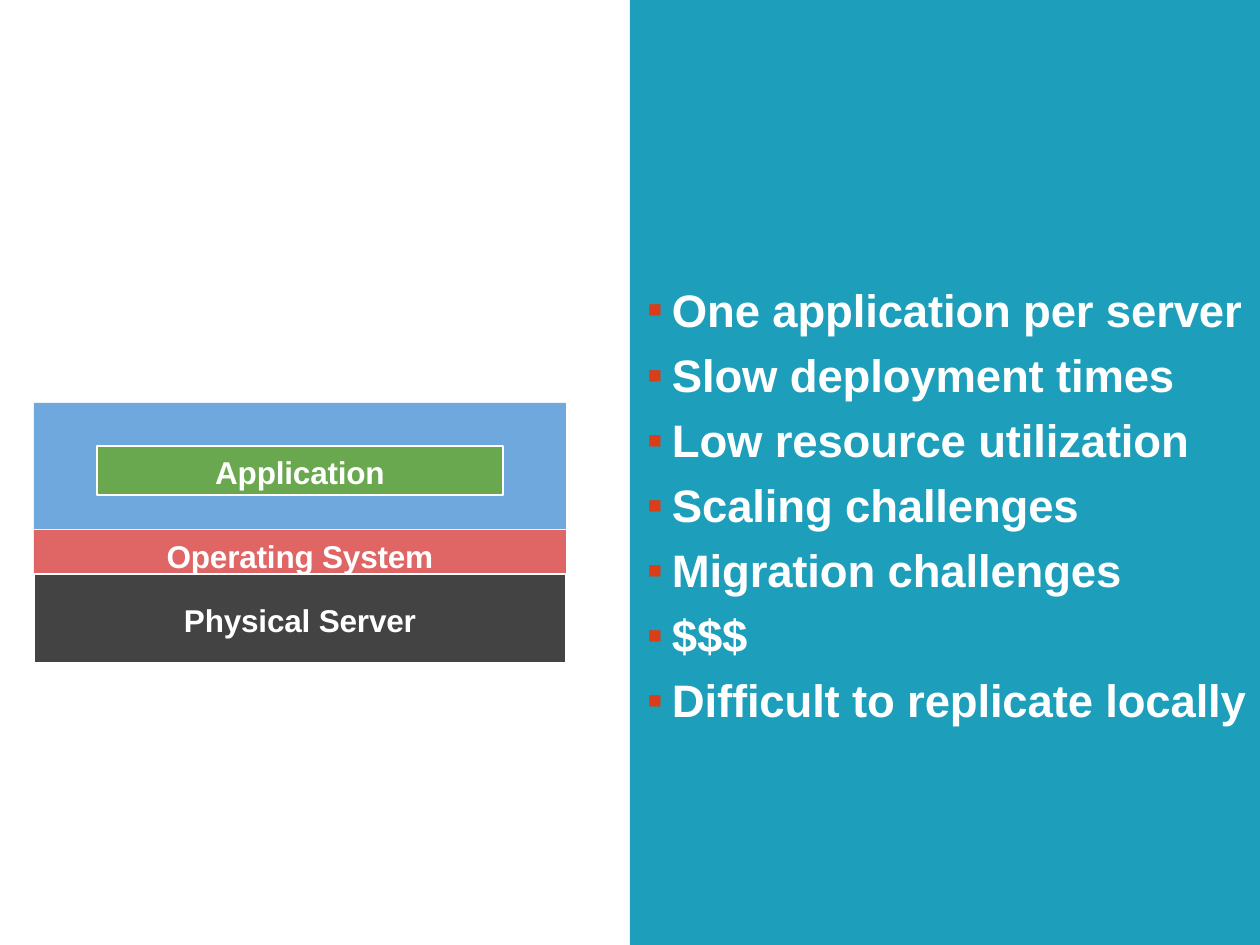
from lxml.etree import SubElement
from pptx import Presentation
from pptx.dml.color import RGBColor
from pptx.enum.shapes import MSO_SHAPE as Shape
from pptx.enum.text import MSO_ANCHOR as Anchor, MSO_AUTO_SIZE as AutoSize, PP_ALIGN as Align
from pptx.oxml.ns import qn
from pptx.util import Pt

PX = 914400 // 126
WHITE = RGBColor(0xFF, 0xFF, 0xFF)
TEAL = RGBColor(0x1D, 0x9E, 0xBA)
BLUE = RGBColor(0x6F, 0xA8, 0xDC)
RED = RGBColor(0xE0, 0x66, 0x66)
GREY = RGBColor(0x43, 0x43, 0x43)
GREEN = RGBColor(0x6A, 0xA8, 0x4F)
BULLET_COLOR = "DB3D16"

# label, (left, top, width, height), fill, outlined, top inset
BLOCKS = [
    ("", (630, 0, 630, 945), TEAL, False, 0),
    ("", (34, 403, 532, 127), BLUE, False, 0),
    ("", (34, 530, 532, 49), None, True, 0),
    ("Operating System", (34, 530, 532, 44), RED, False, 8),
    ("Physical Server", (34, 574, 532, 89), GREY, True, 2),
    ("Application", (97, 446, 406, 49), GREEN, True, 2),
]
DRAWBACKS = [
    "One application per server",
    "Slow deployment times",
    "Low resource utilization",
    "Scaling challenges",
    "Migration challenges",
    "$$$",
    "Difficult to replicate locally",
]
DRAWBACKS_BOX = (645, 268, 609, 459)


def px(*lengths):
    return [length * PX for length in lengths]


def set_insets(frame, top):
    frame.margin_left = frame.margin_right = frame.margin_bottom = 0
    frame.margin_top = top * PX


def style(paragraph, size):
    for run in paragraph.runs:
        run.font.name = "Arial"
        run.font.size = Pt(size)
        run.font.bold = True
        run.font.color.rgb = WHITE
        run._r.get_or_add_rPr().set("spc", "-10")


def add_block(slide, label, box, fill, outlined, top_inset):
    block = slide.shapes.add_shape(Shape.RECTANGLE, *px(*box))
    block.shadow.inherit = False
    if fill is None:
        block.fill.background()
    else:
        block.fill.solid()
        block.fill.fore_color.rgb = fill
    if outlined:
        block.line.color.rgb = WHITE
        block.line.width = Pt(0.75)
    else:
        block.line.fill.background()
    if label:
        frame = block.text_frame
        set_insets(frame, top_inset)
        frame.vertical_anchor = Anchor.MIDDLE
        frame.text = label
        frame.paragraphs[0].alignment = Align.CENTER
        style(frame.paragraphs[0], 18)


def add_bullet(paragraph):
    properties = paragraph._p.get_or_add_pPr()
    properties.set("marL", str(27 * PX))
    properties.set("indent", str(-25 * PX))
    color = SubElement(properties, qn("a:buClr"))
    SubElement(color, qn("a:srgbClr"), val=BULLET_COLOR)
    SubElement(properties, qn("a:buFont"), typeface="Arial")
    SubElement(properties, qn("a:buChar"), char="▪")


def fill_list(body):
    body.left, body.top, body.width, body.height = px(*DRAWBACKS_BOX)
    frame = body.text_frame
    set_insets(frame, 14)
    frame.word_wrap = True
    frame.auto_size = AutoSize.NONE
    frame.vertical_anchor = Anchor.TOP
    frame.text = "\n".join(DRAWBACKS)
    for index, paragraph in enumerate(frame.paragraphs):
        add_bullet(paragraph)
        paragraph.space_before = Pt(6 if index else 0)
        style(paragraph, 26)


def main():
    deck = Presentation()
    deck.slide_width, deck.slide_height = px(1260, 945)
    slide = deck.slides.add_slide(deck.slide_layouts[1])
    title, body = slide.placeholders
    title._element.getparent().remove(title._element)
    for block in BLOCKS:
        add_block(slide, *block)
    fill_list(body)
    slide.shapes._spTree.append(body._element)  # bring the list to the front
    deck.save("out.pptx")


if __name__ == "__main__":
    main()
